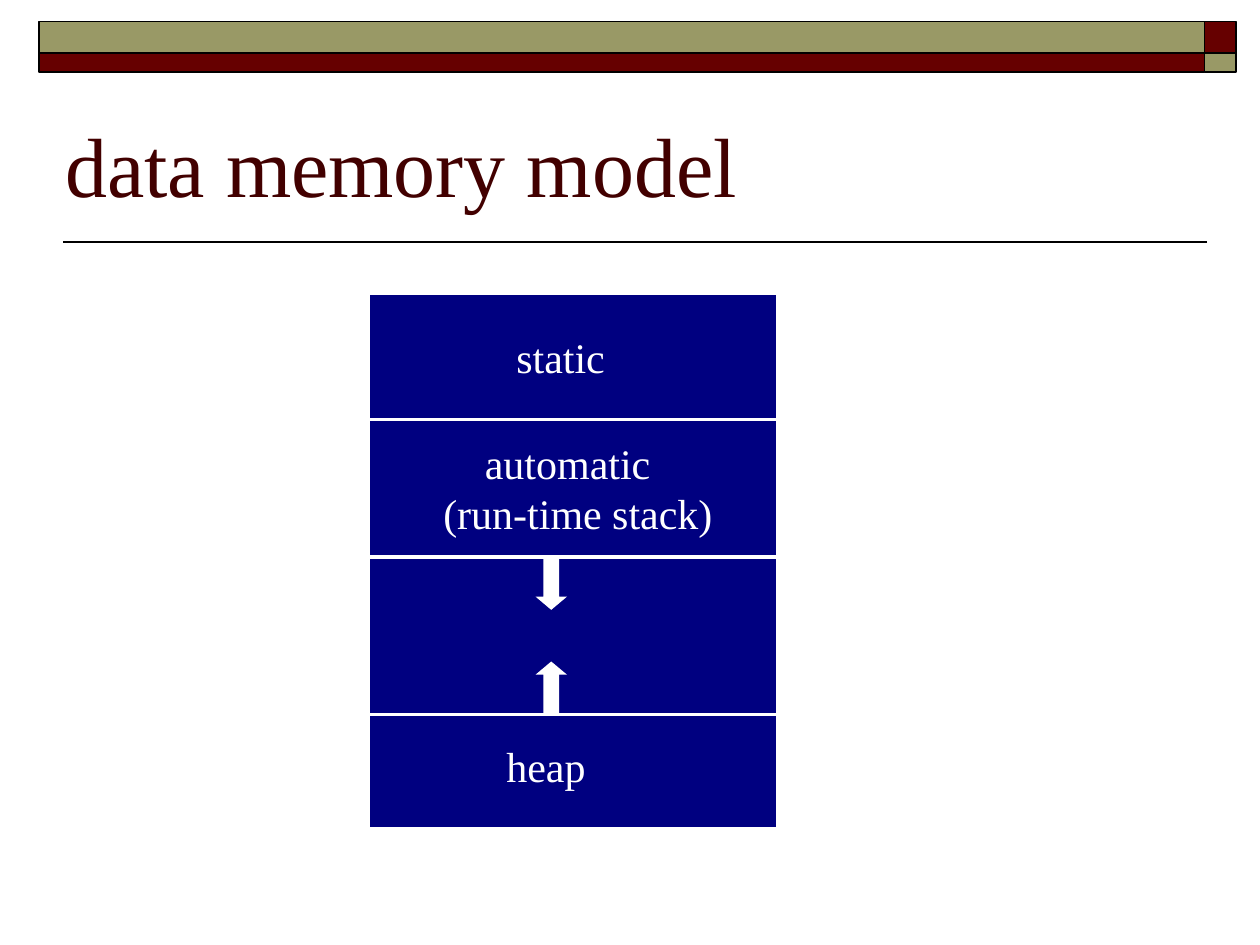
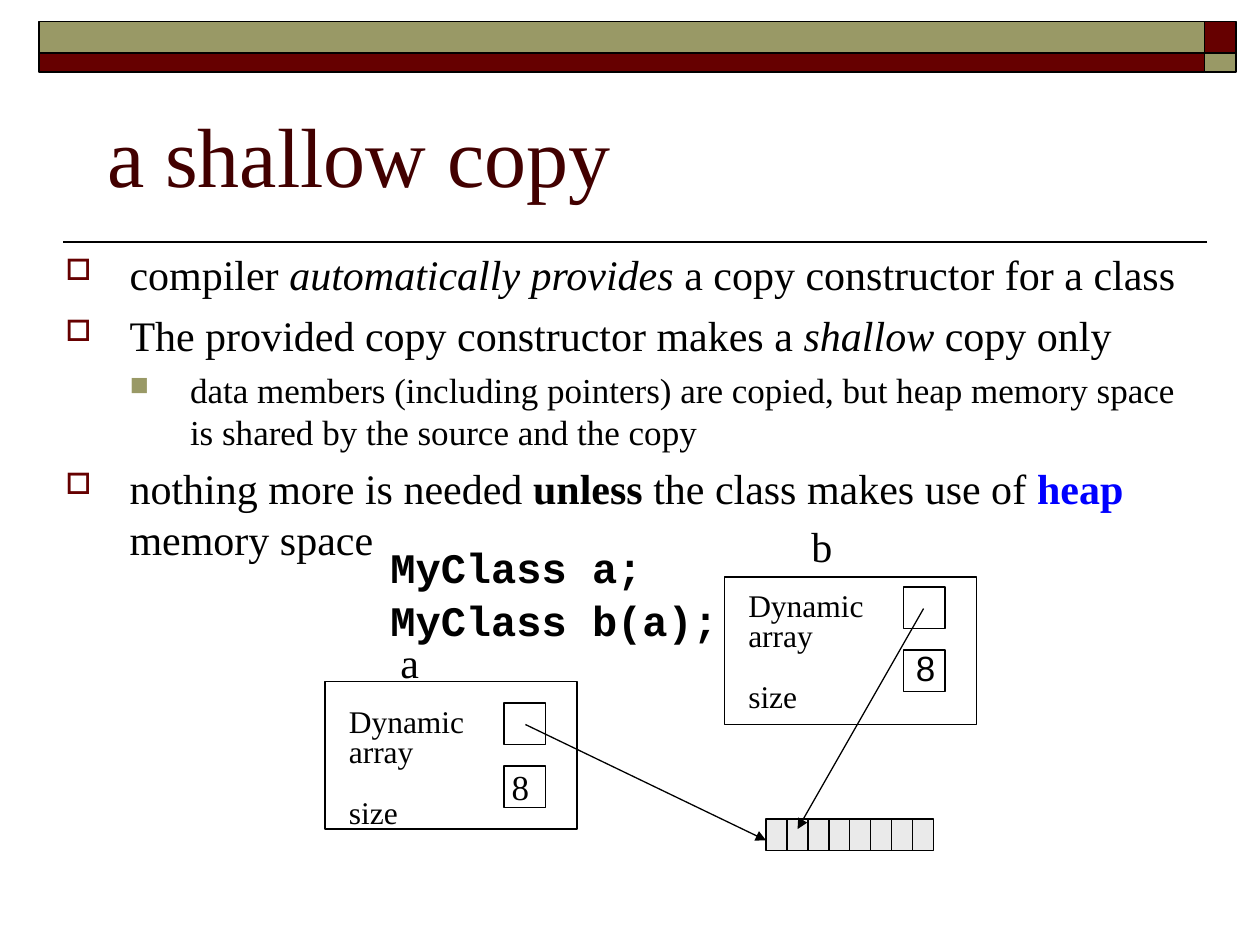
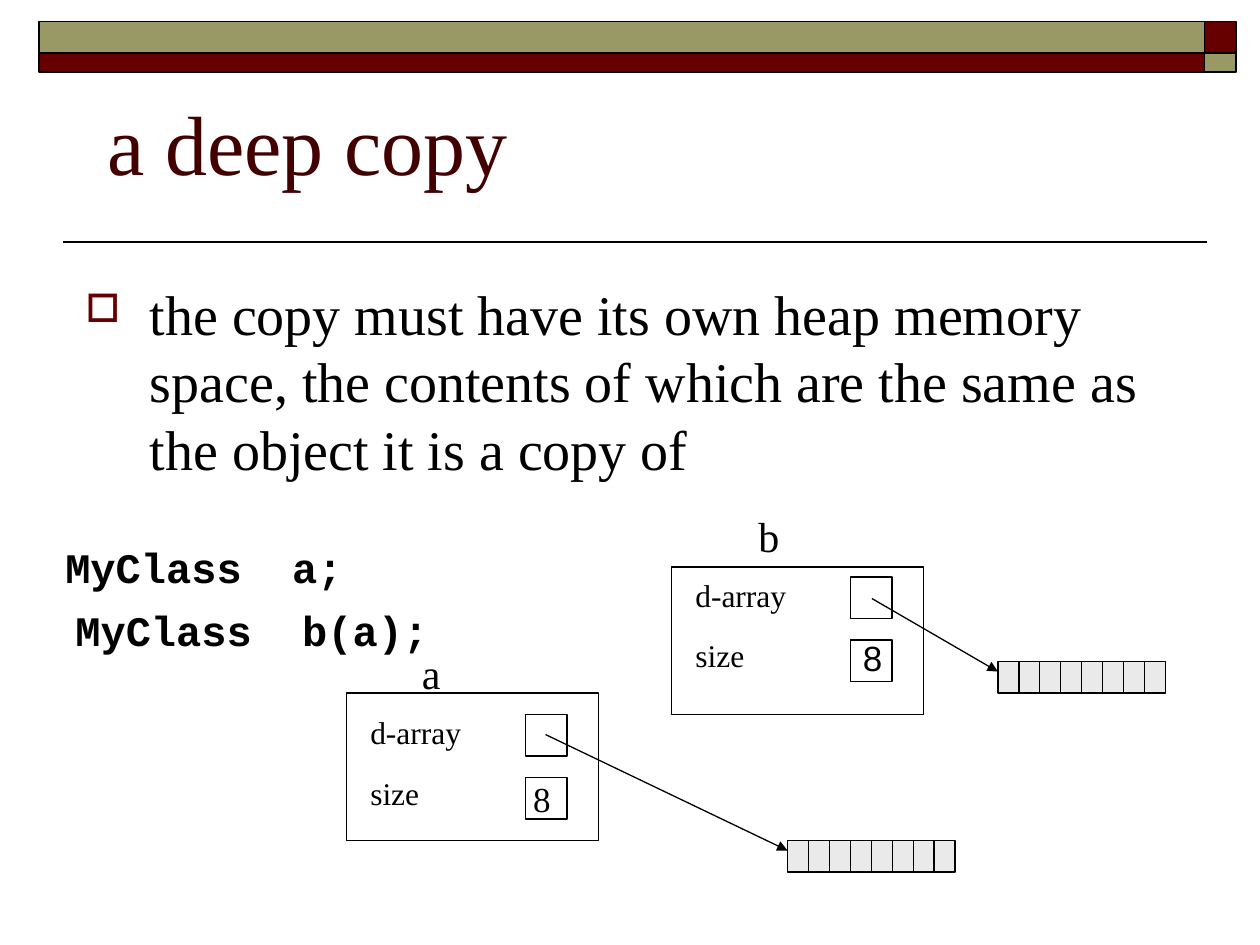
from dataclasses import dataclass

from lxml import etree
from pptx import Presentation
from pptx.dml.color import RGBColor
from pptx.enum.shapes import MSO_CONNECTOR, MSO_SHAPE
from pptx.enum.text import MSO_ANCHOR, MSO_AUTO_SIZE, PP_ALIGN
from pptx.oxml.ns import qn
from pptx.util import Inches, Pt

RECTANGLE = MSO_SHAPE.RECTANGLE
DOWN_ARROW, UP_ARROW = MSO_SHAPE.DOWN_ARROW, MSO_SHAPE.UP_ARROW
STRAIGHT = MSO_CONNECTOR.STRAIGHT
LEFT, CENTER = PP_ALIGN.LEFT, PP_ALIGN.CENTER
MIDDLE, BOTTOM = MSO_ANCHOR.MIDDLE, MSO_ANCHOR.BOTTOM
NO_FIT, GROW = MSO_AUTO_SIZE.NONE, MSO_AUTO_SIZE.SHAPE_TO_FIT_TEXT
TITLE_ONLY = 5


@dataclass(frozen=True)
class Theme:
    ink: str = "000000"
    paper: str = "FFFFFF"
    title: str = "420000"
    maroon: str = "660000"
    olive: str = "999966"
    navy: str = "000080"
    accent: str = "0000FF"
    array: str = "EAEAEA"
    serif: str = "Times New Roman"
    sans: str = "Arial"
    mono: str = "Courier New"
    title_size: int = 48
    large_size: int = 32
    text_size: int = 24
    small_size: int = 20
    field_size: int = 18
    thin: float = 0.75
    rule: float = 1
    thick: float = 2


THEME = Theme()


@dataclass(frozen=True)
class ObjectStyle:
    """Offsets inside an object box, and how its size value is set."""
    inset: float
    name_shift: tuple
    value_in_cell: bool


SOURCE = ObjectStyle(0.17, (0.5, -0.41), True)
COPY = ObjectStyle(0.08, (0.59, -0.5), False)

# Bullet level: left margin, hanging indent, character, colour, size in percent
BULLETS = [(0.51, -0.51, "□", THEME.maroon, 70),
           (0.99, -0.48, "■", THEME.olive, 75)]


def set_format(target, **values):
    for name, value in values.items():
        setattr(target, name, value)


def inches(*lengths):
    return [Inches(length) for length in lengths]


def add_span(para, text, size, font=THEME.serif, color=THEME.ink, **values):
    span = para.add_run()
    span.text = text
    set_format(span.font, name=font, size=Pt(size), **values)
    span.font.color.rgb = RGBColor.from_string(color)


def next_para(frame, index):
    return frame.paragraphs[0] if index == 0 else frame.add_paragraph()


def set_line(line, color, width):
    line.color.rgb = RGBColor.from_string(color)
    line.width = Pt(width)


def add_block(shapes, place, fill=None, line=THEME.ink, width=THEME.thin, kind=RECTANGLE):
    block = shapes.add_shape(kind, *inches(*place))
    block.shadow.inherit = False
    if fill:
        block.fill.solid()
        block.fill.fore_color.rgb = RGBColor.from_string(fill)
    else:
        block.fill.background()
    if line:
        set_line(block.line, line, width)
    else:
        block.line.fill.background()
    return block


def add_line(shapes, start, end, color=THEME.ink, width=THEME.thin, arrow=False):
    line = shapes.add_connector(STRAIGHT, *inches(*start, *end))
    set_line(line.line, color, width)
    if arrow:
        etree.SubElement(line.line._get_or_add_ln(), qn("a:tailEnd"), type="triangle")
    etree.SubElement(line._element.spPr, qn("a:effectLst"))


def add_label(page, place, lines, size=THEME.text_size, **values):
    """Add unwrapped lines of text in a box that fits them; return its paragraphs."""
    box = page.shapes.add_textbox(*inches(*place))
    set_format(box.text_frame, word_wrap=False, auto_size=GROW)
    for index, text in enumerate(lines):
        add_span(next_para(box.text_frame, index), text, size, **values)
    return box.text_frame.paragraphs


def set_bullet(para, level):
    margin, indent, character, color, percent = BULLETS[level]
    para.level = level
    properties = para._p.get_or_add_pPr()
    properties.set("marL", str(Inches(margin)))
    properties.set("indent", str(Inches(indent)))
    bullet_color = etree.SubElement(properties, qn("a:buClr"))
    etree.SubElement(bullet_color, qn("a:srgbClr"), val=color)
    etree.SubElement(properties, qn("a:buSzPct"), val=str(percent * 1000))
    etree.SubElement(properties, qn("a:buChar"), char=character)


def add_bullets(page, place, items):
    """Each item is a level, a type size and a list of (text, format) spans."""
    frame = page.shapes.add_textbox(*inches(*place)).text_frame
    set_format(frame, word_wrap=True, auto_size=NO_FIT)
    for index, (level, size, spans) in enumerate(items):
        para = next_para(frame, index)
        set_bullet(para, level)
        if index:
            para.space_before = Pt(size / 4)
        for text, values in spans:
            add_span(para, text, size, **values)


def add_page(deck, title, place):
    page = deck.slides.add_slide(deck.slide_layouts[TITLE_ONLY])
    shapes = page.shapes
    add_line(shapes, (9.58, 1.92), (0.5, 1.92), width=THEME.rule)
    for top, height, long_fill, short_fill in (
            (0.17, 0.25, THEME.olive, THEME.maroon),
            (0.42, 0.15, THEME.maroon, THEME.olive)):
        add_block(shapes, (0.31, top, 9.25, height), long_fill, width=THEME.rule)
        add_block(shapes, (9.56, top, 0.25, height), short_fill, width=THEME.rule)
    heading = shapes.title
    left, top, width, height = inches(*place)
    set_format(heading, left=left, top=top, width=width, height=height)
    set_format(heading.text_frame, vertical_anchor=BOTTOM, word_wrap=True, auto_size=NO_FIT)
    para = heading.text_frame.paragraphs[0]
    para.alignment = LEFT
    add_span(para, title, THEME.title_size, color=THEME.title)
    return page


def add_array(page, left, top, cells=8, width=1.33, height=0.25):
    shapes = page.shapes.add_group_shape().shapes
    add_block(shapes, (left, top, width, height), THEME.array)
    for cell in range(1, cells):
        x = left + width * cell / cells
        add_line(shapes, (x, top), (x, top + height))


def add_object(page, left, top, name, fields, fields_width, style):
    """Draw an object with a pointer cell, a size cell and its variable name."""
    add_block(page.shapes, (left, top, 2, 1.17))
    cell_left, cell_top = left + 1.42, top + style.inset
    add_block(page.shapes, (cell_left, cell_top, 0.33, 0.33))
    size_top = cell_top + 0.5
    size_cell = add_block(page.shapes, (cell_left, size_top, 0.33, 0.33))
    if style.value_in_cell:
        set_format(size_cell.text_frame, word_wrap=False, vertical_anchor=MIDDLE)
        para = size_cell.text_frame.paragraphs[0]
        para.alignment = CENTER
        add_span(para, "8 ", THEME.small_size)
    else:
        add_label(page, (cell_left, size_top - 0.08, 0.34, 0.44), ["8"],
                  THEME.small_size, font=THEME.sans)
    paras = add_label(page, (left + 0.09, cell_top, fields_width, 1.06), fields,
                      THEME.field_size)
    for para in paras:
        para.line_spacing = 0.8
    paras[-1].space_before = Pt(17.3)
    x_shift, y_shift = style.name_shift
    add_label(page, (left + x_shift, top + y_shift, 0.35, 0.5), [name])


def add_code(page, place, text):
    add_label(page, place, [text], font=THEME.mono, bold=True)


def build_memory_model(deck):
    page = add_page(deck, "data memory model", (0.42, 0.5, 8, 1.25))
    left, width = 2.92, 3.25
    add_block(page.shapes, (left, 2.33, width, 4.25), THEME.navy, THEME.paper, THEME.thick)
    for y in (3.33, 4.42, 5.67):
        add_line(page.shapes, (left, y), (left + width, y), THEME.paper, THEME.thick)
    for kind, top in ((DOWN_ARROW, 4.42), (UP_ARROW, 5.25)):
        arrow = add_block(page.shapes, (4.25, top, 0.25, 0.42), THEME.paper, None, kind=kind)
        arrow.adjustments[1] = 0.42
    add_label(page, (4, 2.58, 0.9, 0.5), ["static"], color=THEME.paper)
    stack = add_label(page, (3.42, 3.42, 2.34, 0.9), ["automatic", "(run-time stack)"],
                      color=THEME.paper)
    stack[0]._p.get_or_add_pPr().set("marL", str(Inches(0.33)))
    add_label(page, (3.92, 5.83, 0.83, 0.5), ["heap"], color=THEME.paper)


def build_shallow_copy(deck):
    page = add_page(deck, "a shallow copy", (0.75, 0.42, 8.5, 1.25))
    italic, bold = {"italic": True}, {"bold": True}
    add_bullets(page, (0.42, 1.92, 9.17, 4.5), [
        (0, THEME.text_size, [("compiler ", {}), ("automatically provides ", italic),
                              ("a copy constructor for a class", {})]),
        (0, THEME.text_size, [("The provided copy constructor makes a ", {}),
                              ("shallow", italic), (" copy only", {})]),
        (1, THEME.small_size, [("data members (including pointers) are copied, but heap "
                                "memory space is shared by the source and the copy", {})]),
        (0, THEME.text_size, [("nothing more is needed ", {}), ("unless", bold),
                              (" the class makes use of ", {}),
                              ("heap", {"bold": True, "color": THEME.accent}),
                              (" memory space", {})]),
    ])
    add_code(page, (3, 4.25, 2.2, 0.5), "MyClass a;")
    add_code(page, (3, 4.67, 2.8, 0.5), "MyClass b(a);")
    fields = ["Dynamic", "array", "size"]
    add_array(page, 6.08, 6.5)
    add_line(page.shapes, (4.17, 5.75), (6.08, 6.67), arrow=True)
    add_object(page, 2.58, 5.41, "a", fields, 1.18, SOURCE)
    add_line(page.shapes, (7.33, 4.83), (6.33, 6.58), arrow=True)
    add_object(page, 5.75, 4.58, "b", fields, 1.18, COPY)


def build_deep_copy(deck):
    page = add_page(deck, "a deep copy", (0.75, 0.33, 8.5, 1.25))
    add_bullets(page, (0.58, 2.17, 8.92, 2.17), [
        (0, THEME.large_size, [("the copy must have its own heap memory space, the contents "
                                "of which are the same as the object it is a copy of", {})]),
    ])
    add_code(page, (0.42, 4.25, 2.4, 0.5), "MyClass  a;")
    add_code(page, (0.5, 4.75, 3, 0.5), "MyClass  b(a);")
    fields = ["d-array", "size"]
    add_array(page, 7.92, 5.25)
    add_line(page.shapes, (4.33, 5.83), (6.25, 6.75), arrow=True)
    add_object(page, 2.75, 5.5, "a", fields, 0.92, SOURCE)
    add_line(page.shapes, (6.92, 4.75), (7.92, 5.33), arrow=True)
    add_object(page, 5.33, 4.5, "b", fields, 0.92, COPY)
    add_array(page, 6.25, 6.67)


def main():
    deck = Presentation()
    set_format(deck, slide_width=Inches(10), slide_height=Inches(7.5))
    build_memory_model(deck)
    build_shallow_copy(deck)
    build_deep_copy(deck)
    deck.save("out.pptx")


if __name__ == "__main__":
    main()
